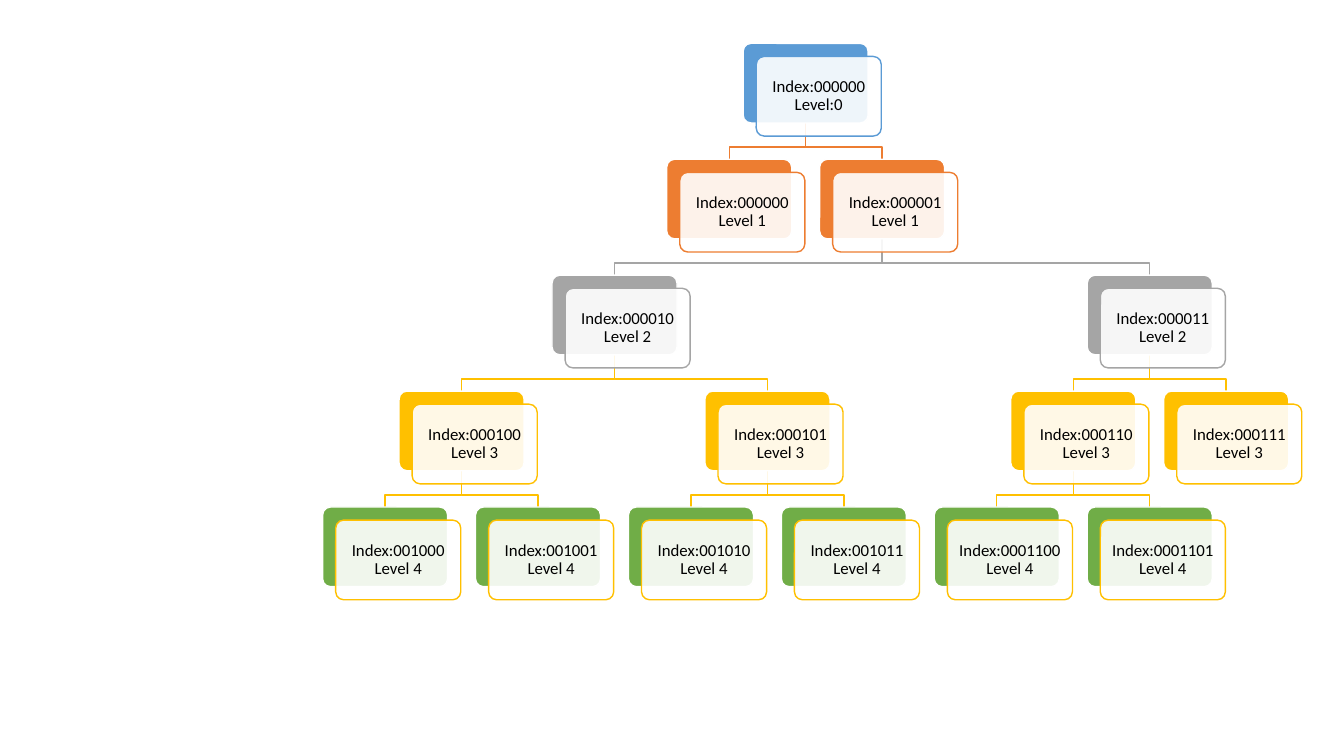
from collections import namedtuple

from lxml.etree import SubElement
from pptx import Presentation
from pptx.dml.color import RGBColor as Color
from pptx.enum.shapes import MSO_SHAPE as Shape
from pptx.enum.text import MSO_ANCHOR as Anchor, PP_ALIGN as Align
from pptx.oxml.ns import qn
from pptx.util import Inches, Pt

COLORS = {
    "blue": "5B9BD5", "orange": "ED7D31", "gray": "A5A5A5",
    "gold": "FFC000", "green": "70AD47", "white": "FFFFFF", "black": "000000",
}
FILLS = ["blue", "orange", "gray", "gold", "green"]
OUTLINES = ["blue", "orange", "gray", "gold", "gold"]

Node = namedtuple("Node", "label column children")


def leaf(label, column):
    return Node(label, column, [])


def parent(label, *children):
    center = (children[0].column + children[-1].column) / 2
    return Node(label, center, children)


def write_text(box, text, font="Calibri", size=12, color="black", inset=0.07):
    frame = box.text_frame
    frame.word_wrap = True
    frame.vertical_anchor = Anchor.MIDDLE
    frame.margin_left = frame.margin_right = Inches(inset)
    frame.margin_top = frame.margin_bottom = Inches(inset)
    para = frame.paragraphs[0]
    para.alignment = Align.CENTER
    para.line_spacing = 0.9
    span = para.add_run()
    span.text = text
    span.font.name = font
    span.font.size = Pt(size)
    span.font.color.rgb = Color.from_string(COLORS[color])


class TreeSlide:
    """Draws an index tree on a grid of half-card columns and level rows."""

    left, top = 3.82, 0.43
    column, row = 9.1 / 12, 1.15
    width, height = 1.24, 0.79
    offset, shoulder = 0.13, 0.24

    def __init__(self, deck):
        self.page = deck.slides.add_slide(deck.slide_layouts[6])

    def place(self, node, level):
        return self.left + node.column * self.column, self.top + level * self.row

    def outline(self, shape, color):
        shape.shadow.inherit = False
        shape.line.color.rgb = Color.from_string(COLORS[color])
        shape.line.width = Pt(1)

    def card(self, x, y, fill, line, opacity=100):
        box = self.page.shapes.add_shape(
            Shape.ROUNDED_RECTANGLE, Inches(x), Inches(y),
            Inches(self.width), Inches(self.height))
        box.adjustments[0] = 0.1
        box.fill.solid()
        box.fill.fore_color.rgb = Color.from_string(COLORS[fill])
        if opacity < 100:
            tint = box.fill._xPr.find(qn("a:solidFill"))[0]
            SubElement(tint, qn("a:alpha"), val=str(opacity * 1000))
        self.outline(box, line)
        return box

    def branch(self, start, end, color):
        (x1, y1), (x2, y2) = start, end
        bend = y1 + self.shoulder
        points = [(Inches(x), Inches(y))
                  for x, y in ((x1, y1), (x1, bend), (x2, bend), (x2, y2))]
        builder = self.page.shapes.build_freeform(*points[0])
        builder.add_line_segments(points[1:], close=False)
        line = builder.convert_to_shape()
        line.fill.background()
        self.outline(line, color)

    def branches(self, node, level=0):
        x, y = self.place(node, level)
        for child in node.children:
            self.branches(child, level + 1)
            self.branch((x, y + self.height), self.place(child, level + 1),
                        OUTLINES[level + 1])

    def cards(self, node, level=0):
        x, y = self.place(node, level)
        x -= self.width / 2
        self.card(x, y, FILLS[level], "white")
        front = self.card(x + self.offset, y + self.offset, "white",
                          OUTLINES[level], opacity=90)
        write_text(front, node.label)
        for child in node.children:
            self.cards(child, level + 1)


TREE = parent(
    "Index:000000 Level:0",
    leaf("Index:000000 Level 1", 4.5),
    parent(
        "Index:000001 Level 1",
        parent(
            "Index:000010 Level 2",
            parent("Index:000100 Level 3",
                   leaf("Index:001000 Level 4", 0),
                   leaf("Index:001001 Level 4", 2)),
            parent("Index:000101 Level 3",
                   leaf("Index:001010 Level 4", 4),
                   leaf("Index:001011 Level 4", 6))),
        parent(
            "Index:000011 Level 2",
            parent("Index:000110 Level 3",
                   leaf("Index:0001100 Level 4", 8),
                   leaf("Index:0001101 Level 4", 10)),
            leaf("Index:000111 Level 3", 11))))

deck = Presentation()
deck.slide_width, deck.slide_height = Inches(13.33), Inches(7.5)
slide = TreeSlide(deck)
slide.branches(TREE)
slide.cards(TREE)
deck.save("out.pptx")
